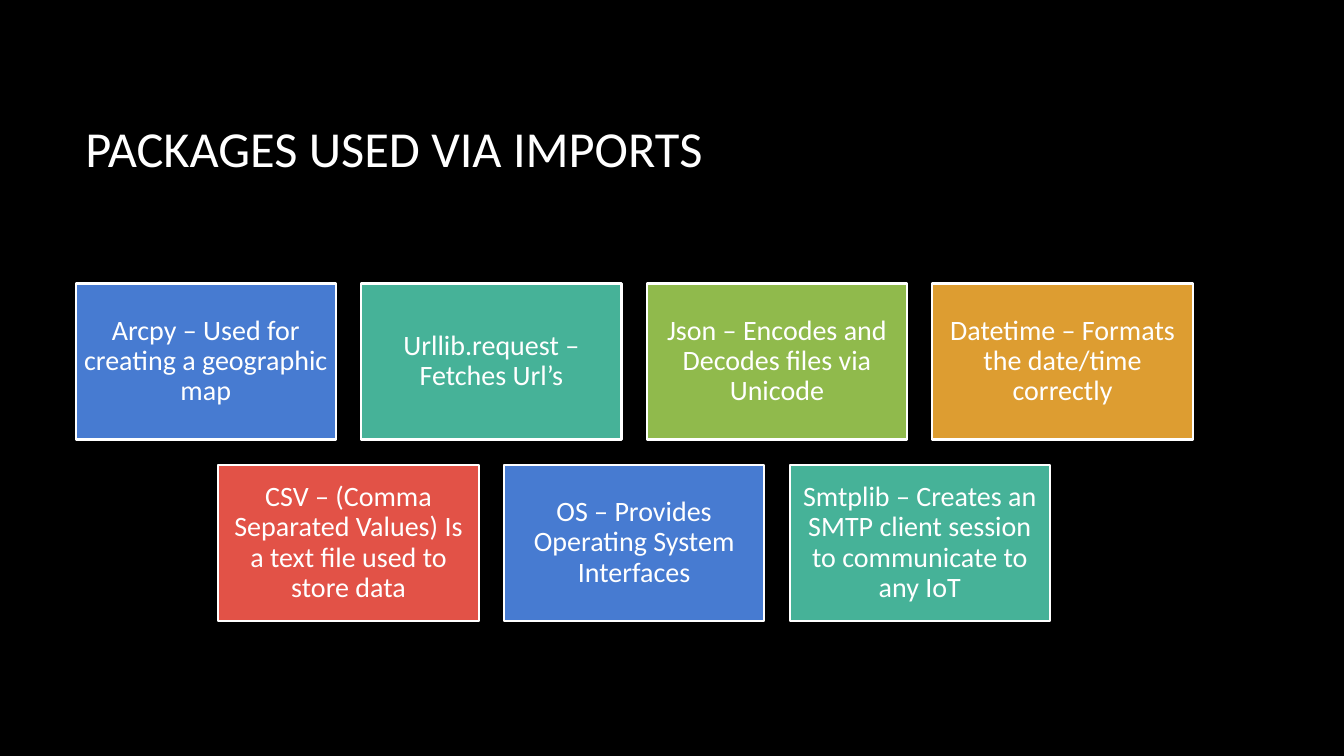
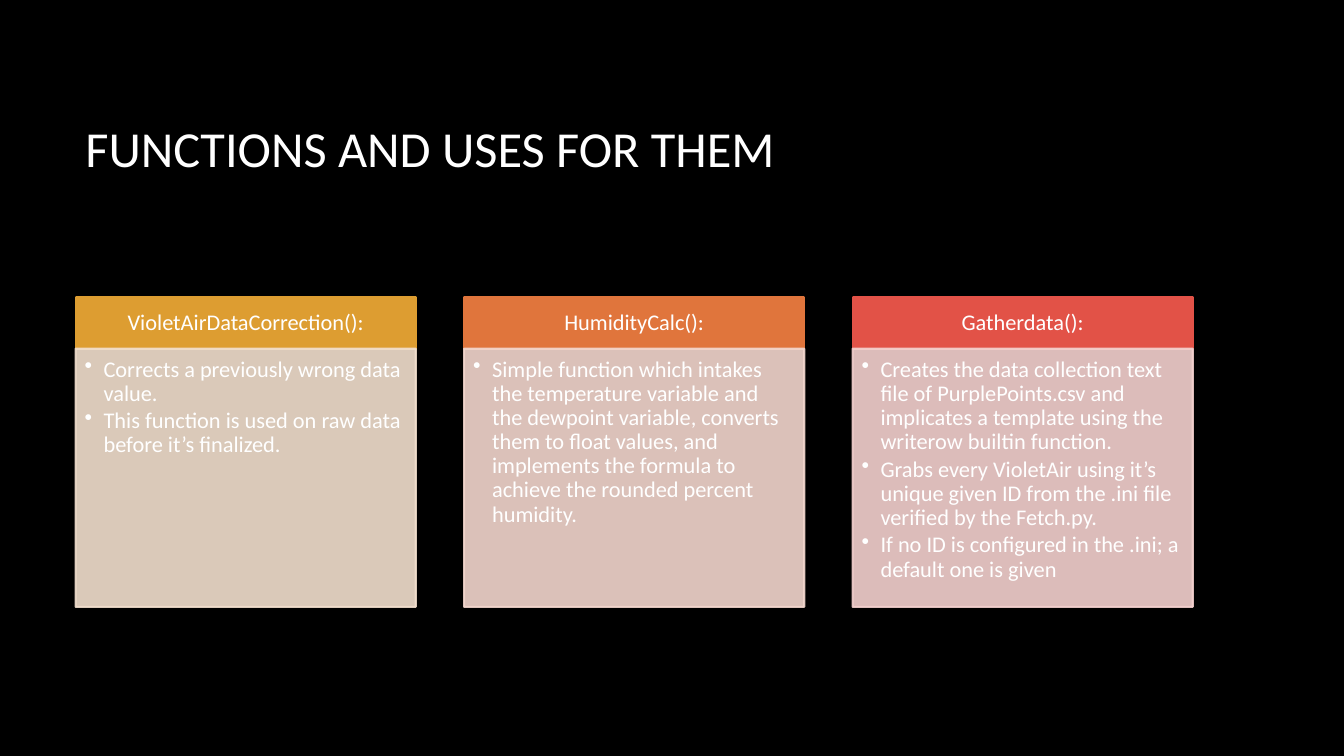
from dataclasses import dataclass

from lxml.etree import SubElement
from pptx import Presentation
from pptx.dml.color import RGBColor
from pptx.enum.shapes import MSO_SHAPE
from pptx.enum.text import MSO_ANCHOR, PP_ALIGN
from pptx.oxml.ns import qn
from pptx.util import Pt


@dataclass(frozen=True)
class Theme:
    """Colours, font, type sizes and shared edges of the deck."""

    font: str = "Calibri"
    black: str = "000000"
    white: str = "FFFFFF"
    blue: str = "477BD1"
    teal: str = "46B298"
    green: str = "90BA4C"
    gold: str = "DD9D31"
    orange: str = "E0753C"
    red: str = "E25247"
    sand: str = "F2DFCE"
    peach: str = "F3D7CE"
    rose: str = "F4D1CF"
    title: int = 36
    tile: int = 20
    body: int = 16
    left: int = 54
    width: int = 798


T = Theme()

TILES = (
    (
        ("Arcpy – Used for creating a geographic map", T.blue),
        ("Urllib.request – Fetches Url’s", T.teal),
        ("Json – Encodes and Decodes files via Unicode", T.green),
        ("Datetime – Formats the date/time correctly", T.gold),
    ),
    (
        ("CSV – (Comma Separated Values) Is a text file used to store data", T.red),
        ("OS – Provides Operating System Interfaces", T.blue),
        ("Smtplib – Creates an SMTP client session to communicate to any IoT", T.teal),
    ),
)

CARDS = (
    ("VioletAirDataCorrection():", T.gold, T.sand, (
        "Corrects a previously wrong data value.",
        "This function is used on raw data before it’s finalized.",
    )),
    ("HumidityCalc():", T.orange, T.peach, (
        "Simple function which intakes the temperature variable and the dewpoint "
        "variable, converts them to float values, and implements the formula to "
        "achieve the rounded percent humidity.",
    )),
    ("Gatherdata():", T.red, T.rose, (
        "Creates the data collection text file of PurplePoints.csv and implicates "
        "a template using the writerow builtin function.",
        "Grabs every VioletAir using it’s unique given ID from the .ini file "
        "verified by the Fetch.py.",
        "If no ID is configured in the .ini; a default one is given",
    )),
)


def write(shape, *lines, size=T.body, align=PP_ALIGN.CENTER,
          anchor=MSO_ANCHOR.MIDDLE, pad=(6, 6, 6, 6), lead=0.9, after=0, dots=False):
    """Fill a shape with one formatted paragraph per line."""
    frame = shape.text_frame
    frame.word_wrap = True
    frame.vertical_anchor = anchor
    frame.margin_left, frame.margin_top, frame.margin_right, frame.margin_bottom = map(Pt, pad)
    frame.text = "\n".join(lines)
    for para in frame.paragraphs:
        para.alignment = align
        para.line_spacing = lead
        para.space_after = Pt(after)
        font = para.runs[0].font
        font.name, font.size = T.font, Pt(size)
        font.color.rgb = RGBColor.from_string(T.white)
        if dots:
            dot(para)


def dot(para, hang=13.5):
    """Give a paragraph a hanging bullet."""
    props = para._p.get_or_add_pPr()
    props.set("marL", str(Pt(hang)))
    props.set("indent", str(-Pt(hang)))
    SubElement(props, qn("a:buChar"), char="•")


def box(slide, left, top, width, height, fill, edge, alpha=100):
    """Draw a flat outlined box, with its opacity in percent."""
    shape = slide.shapes.add_shape(
        MSO_SHAPE.RECTANGLE, Pt(left), Pt(top), Pt(width), Pt(height))
    shape.shadow.inherit = False
    shape.fill.solid()
    shape.fill.fore_color.rgb = RGBColor.from_string(fill)
    shape.line.color.rgb = RGBColor.from_string(edge)
    shape.line.width = Pt(1.5)
    if alpha < 100:
        for color in shape.element.spPr.iter(qn("a:srgbClr")):
            SubElement(color, qn("a:alpha"), val=str(alpha * 1000))
    return shape


def page(deck, title):
    """Add a blank slide with the shared title."""
    slide = deck.slides.add_slide(deck.slide_layouts[6])
    head = slide.shapes.add_textbox(Pt(T.left), Pt(48), Pt(T.width), Pt(114.5))
    write(head, title, size=T.title, align=PP_ALIGN.LEFT, pad=(7.2, 3.6, 7.2, 3.6), lead=1.0)
    return slide


def tiles(slide, rows, top=202.5, height=111.5, gap=18):
    """Lay out centred rows of tiles, sized to the longest row."""
    most = max(map(len, rows))
    width = (T.width - gap * (most - 1)) / most
    for row, items in enumerate(rows):
        inset = (most - len(items)) * (width + gap) / 2
        for col, (text, fill) in enumerate(items):
            tile = box(slide, T.left + inset + col * (width + gap),
                       top + row * (height + gap), width, height, fill, T.white)
            write(tile, text, size=T.tile)


def cards(slide, items, top=212.5, bar=36.5, height=184.5, gap=34.5):
    """Lay out equal columns, each a heading bar over a bullet list."""
    width = (T.width - gap * (len(items) - 1)) / len(items)
    for col, (name, dark, pale, lines) in enumerate(items):
        left = T.left + col * (width + gap)
        head = box(slide, left, top, width, bar, dark, dark)
        write(head, name, pad=(9, 5, 9, 5))
        body = box(slide, left, top + bar, width, height, pale, pale, alpha=90)
        write(body, *lines, align=PP_ALIGN.LEFT, anchor=MSO_ANCHOR.TOP,
              pad=(6.5, 6.5, 8.5, 10), after=2.4, dots=True)


def main():
    """Build and save the deck."""
    deck = Presentation()
    deck.slide_width, deck.slide_height = Pt(960), Pt(540)
    back = deck.slide_master.background.fill
    back.solid()
    back.fore_color.rgb = RGBColor.from_string(T.black)
    tiles(page(deck, "PACKAGES USED VIA IMPORTS"), TILES)
    cards(page(deck, "FUNCTIONS AND USES FOR THEM"), CARDS)
    deck.save("out.pptx")


if __name__ == "__main__":
    main()
